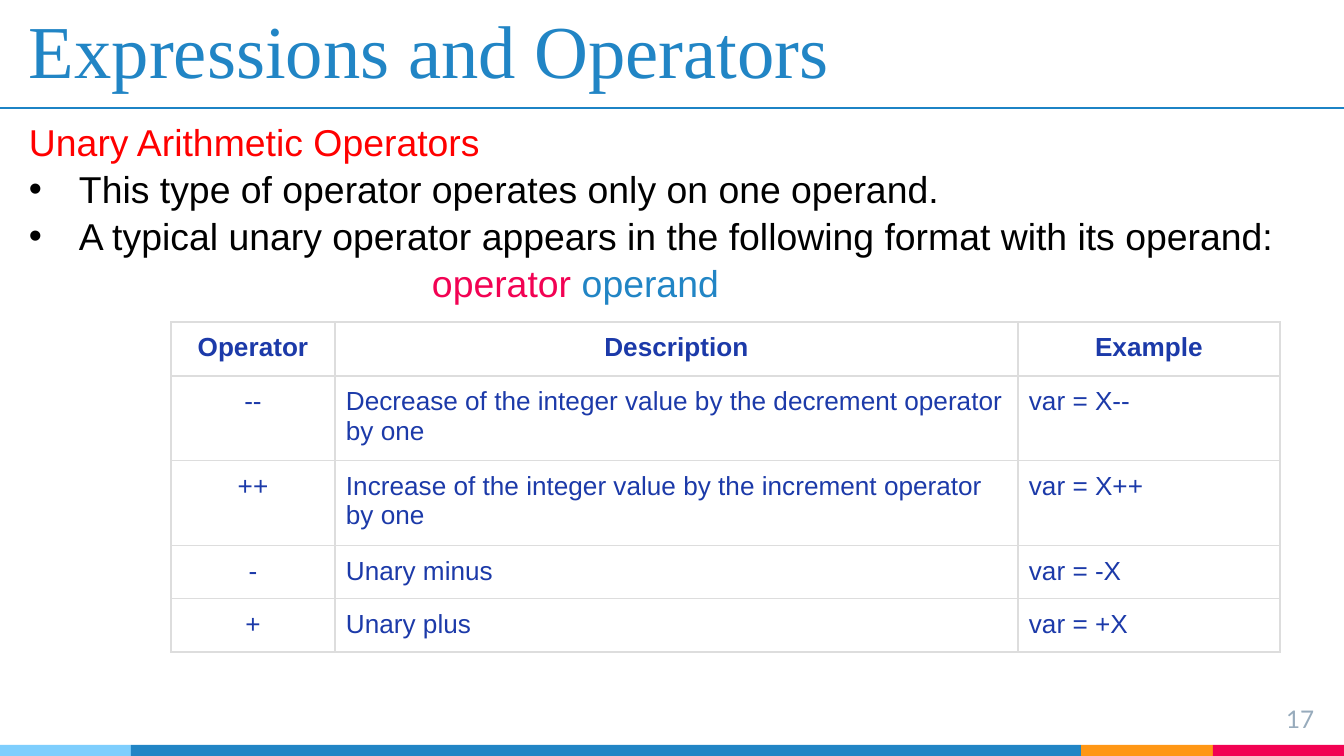
from lxml import etree
from pptx import Presentation
from pptx.dml.color import RGBColor
from pptx.enum.shapes import MSO_CONNECTOR, MSO_SHAPE
from pptx.enum.text import MSO_ANCHOR, PP_ALIGN
from pptx.oxml.ns import qn
from pptx.util import Pt

LEFT, CENTER, RIGHT = PP_ALIGN.LEFT, PP_ALIGN.CENTER, PP_ALIGN.RIGHT
TOP, BOTTOM = MSO_ANCHOR.TOP, MSO_ANCHOR.BOTTOM
RECT, STRAIGHT = MSO_SHAPE.RECTANGLE, MSO_CONNECTOR.STRAIGHT

BLUE = RGBColor(0x21, 0x85, 0xC5)
RULE = RGBColor(0x1C, 0x83, 0xC5)
SKY = RGBColor(0x7E, 0xCE, 0xFD)
ORANGE = RGBColor(0xFF, 0x97, 0x15)
PINK = RGBColor(0xF2, 0x02, 0x53)
RED = RGBColor(0xFF, 0x00, 0x00)
BLACK = RGBColor(0x00, 0x00, 0x00)
WHITE = RGBColor(0xFF, 0xFF, 0xFF)
NAVY = RGBColor(0x1C, 0x3A, 0xA9)
GREY = RGBColor(0x97, 0xAB, 0xBC)
BORDER = RGBColor(0xDD, 0xDD, 0xDD)

WIDTH, HEIGHT = 1344, 756
PAD = 13
COLS = [164, 683, 262]
ROWS = [54, 84, 84, 53, 53]
CELLS = [
    ("Operator", "Description", "Example"),
    ("--", "Decrease of the integer value by the decrement operator by one",
     "var = X--"),
    ("++", "Increase of the integer value by the increment operator by one",
     "var = X++"),
    ("-", "Unary minus", "var = -X"),
    ("+", "Unary plus", "var = +X"),
]
BANDS = [(131, SKY), (950, BLUE), (132, ORANGE), (131, PINK)]


def px(count):
    return round(count * 914400 / 134.4)


def write(para, text, size=20, font="Arial", color=BLACK, bold=False,
          align=LEFT):
    para.alignment = align
    run = para.add_run()
    run.text = text
    run.font.size = Pt(size)
    run.font.name = font
    run.font.bold = bold
    run.font.color.rgb = color


def inset(item, side, ends):
    item.margin_left = item.margin_right = px(side)
    item.margin_top = item.margin_bottom = px(ends)


def add_box(slide, x, y, w, h, side=PAD, ends=PAD, anchor=TOP):
    """Add an empty wrapping text box and return its frame."""
    frame = slide.shapes.add_textbox(px(x), px(y), px(w), px(h)).text_frame
    frame.word_wrap = True
    frame.vertical_anchor = anchor
    inset(frame, side, ends)
    return frame


def indent(para, left, first=0):
    props = para._p.get_or_add_pPr()
    props.set("marL", str(px(left)))
    props.set("indent", str(px(first)))
    return props


def add_bullet(para):
    props = indent(para, 50, -50)
    tint = etree.SubElement(props, qn("a:buClr"))
    etree.SubElement(tint, qn("a:srgbClr"), val=str(BLACK))
    etree.SubElement(props, qn("a:buFont"), typeface="Arial")
    etree.SubElement(props, qn("a:buChar"), char="•")


def add_bands(slide):
    x = 0
    for w, color in BANDS:
        band = slide.shapes.add_shape(RECT, px(x), px(745), px(w), px(11))
        band.shadow.inherit = False
        band.fill.solid()
        band.fill.fore_color.rgb = color
        band.line.fill.background()
        x += w


def add_rule(slide, y):
    rule = slide.shapes.add_connector(STRAIGHT, 0, px(y), px(WIDTH), px(y))
    rule.line.color.rgb = RULE
    rule.line.width = Pt(0.75)
    etree.SubElement(rule._element.spPr, qn("a:effectLst"))


def add_body(slide):
    frame = add_box(slide, 16, 110, 1301, 195, ends=7)
    head = frame.paragraphs[0]
    write(head, "Unary Arithmetic Operators", color=RED)
    for text in (
        "This type of operator operates only on one operand.",
        "A typical unary operator appears in the following format "
        "with its operand:",
    ):
        para = frame.add_paragraph()
        write(para, text)
        add_bullet(para)
    form = frame.add_paragraph()
    indent(form, 403)
    write(form, "operator ", color=PINK)
    write(form, "operand", color=BLUE)
    for para in frame.paragraphs:
        para.line_spacing = 1.05


def add_border(cell):
    props = cell._tc.get_or_add_tcPr()
    for spot, side in enumerate(("lnL", "lnR", "lnT", "lnB")):
        line = etree.Element(qn("a:" + side), w=str(Pt(0.75)))
        fill = etree.SubElement(line, qn("a:solidFill"))
        etree.SubElement(fill, qn("a:srgbClr"), val=str(BORDER))
        props.insert(spot, line)


def add_grid(slide):
    table = slide.shapes.add_table(
        len(ROWS), len(COLS), px(171), px(322), px(sum(COLS)), px(sum(ROWS))
    ).table
    table.first_row = table.horz_banding = False
    for col, w in zip(table.columns, COLS):
        col.width = px(w)
    for row, h in zip(table.rows, ROWS):
        row.height = px(h)
    for r, texts in enumerate(CELLS):
        for c, text in enumerate(texts):
            cell = table.cell(r, c)
            inset(cell, 11, 11)
            cell.fill.solid()
            cell.fill.fore_color.rgb = WHITE
            add_border(cell)
            write(cell.text_frame.paragraphs[0], text, size=14, color=NAVY,
                  bold=r == 0, align=CENTER if r == 0 or c == 0 else LEFT)


def main():
    deck = Presentation()
    deck.slide_width, deck.slide_height = px(WIDTH), px(HEIGHT)
    slide = deck.slides.add_slide(deck.slide_layouts[6])
    add_bands(slide)
    title = add_box(slide, 16, 13, 1301, 93, anchor=BOTTOM)
    write(title.paragraphs[0], "Expressions and Operators", size=40,
          font="Times New Roman", color=BLUE)
    number = add_box(slide, 1246, 691, 81, 46)
    write(number.paragraphs[0], "17", size=13, font="Lato", color=GREY,
          align=RIGHT)
    add_rule(slide, 108)
    add_body(slide)
    add_grid(slide)
    deck.save("out.pptx")


if __name__ == "__main__":
    main()
